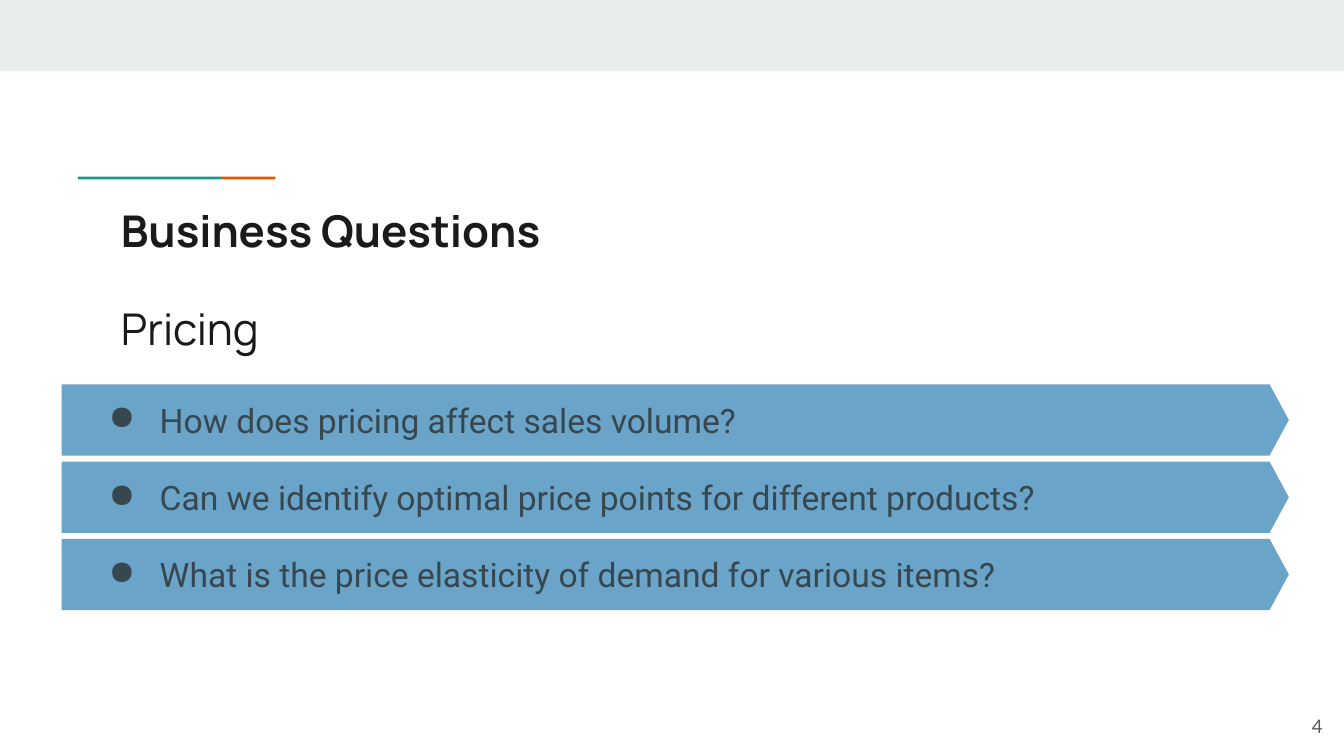
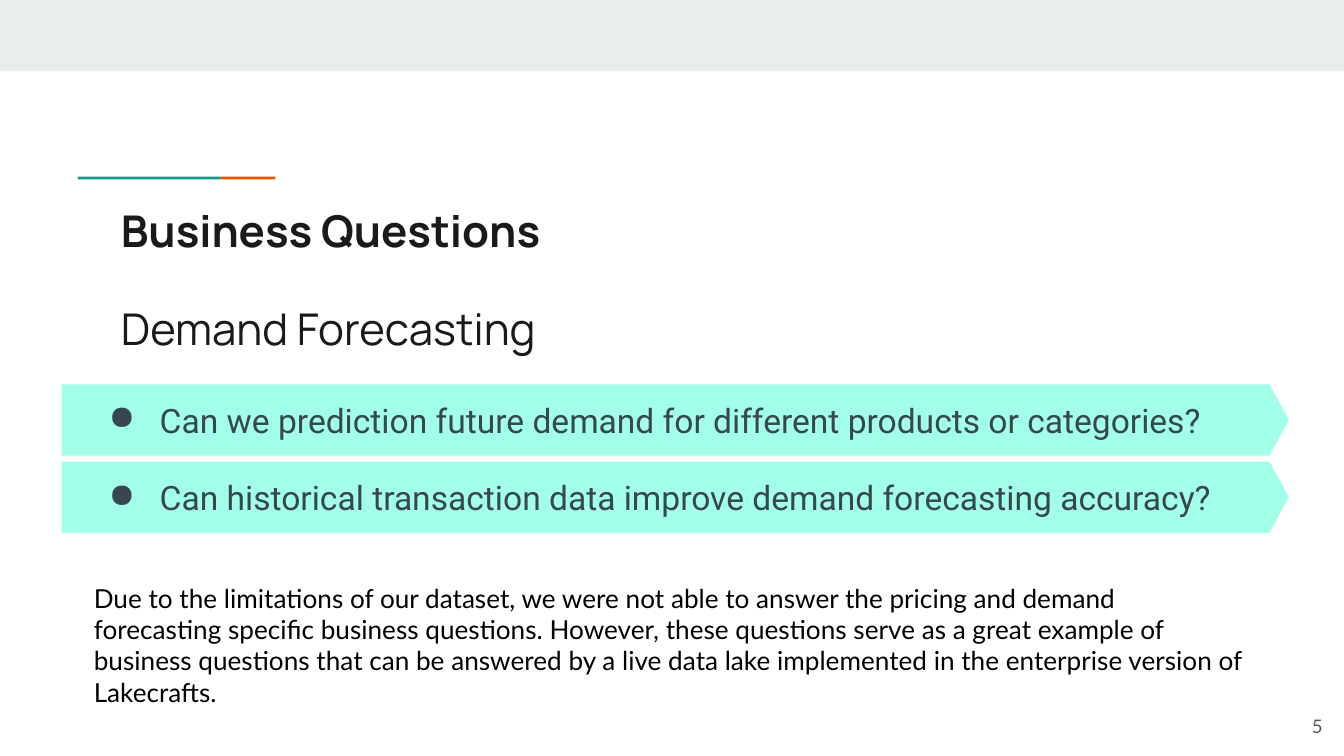
import dataclasses

import lxml.etree
import pptx
import pptx.dml.color
import pptx.enum.shapes
import pptx.enum.text
import pptx.oxml.ns
import pptx.util

COLUMNS, ROWS = 100, 56.25
UNIT = pptx.util.Inches(10) / COLUMNS
SHAPES = pptx.enum.shapes.MSO_SHAPE
ANCHOR = pptx.enum.text.MSO_ANCHOR
ALIGN = pptx.enum.text.PP_ALIGN
FIT = pptx.enum.text.MSO_AUTO_SIZE


@dataclasses.dataclass(frozen=True)
class Style:
    """Font, size and colour of a piece of text."""
    font: str
    size: float
    color: str
    bold: bool = False


@dataclasses.dataclass(frozen=True)
class Theme:
    """Colours and text styles shared by the slides."""
    band: str = "E9EDEE"
    teal: str = "1A9988"
    orange: str = "EB5600"
    pricing: str = "6AA4C8"
    demand: str = "A2FFE8"
    title: Style = Style("Manrope", 23.4, "1A1A1A", True)
    topic: Style = Style("Manrope", 23.4, "1A1A1A")
    question: Style = Style("Roboto", 18, "37474F")
    remark: Style = Style("Lato", 14, "000000")
    number: Style = Style("Lato", 10, "595959")


@dataclasses.dataclass(frozen=True)
class Box:
    """A rectangle in grid columns and rows."""
    left: float
    top: float
    width: float
    height: float

    def inside(self, left, top, width, height):
        """Return a box placed relative to this one."""
        return Box(self.left + left, self.top + top, width, height)

    def lengths(self):
        """Return the box as slide lengths."""
        return [grid(value) for value in dataclasses.astuple(self)]


THEME = Theme()
BAND = Box(0, 0, COLUMNS, 5.3)
ACCENT = Box(5.8, 13.15, 14.7, 0.2)
TITLE = Box(8, 14.4, 84.1, 5.9)
QUESTIONS = Box(4.6, 28.6, 91.3, 5.3)
QUESTION_PITCH = 5.75
REMARK = Box(6, 42.3, 88, 9.1)
NUMBER = Box(93.4, 51.9, 6, 4.3)


def grid(value):
    """Turn grid units into a slide length."""
    return pptx.util.Emu(round(value * UNIT))


def rgb(color):
    """Turn a hex string into a colour."""
    return pptx.dml.color.RGBColor.from_string(color)


def add_filled(slide, kind, box, color):
    """Add a preset shape with a plain fill and no line."""
    shape = slide.shapes.add_shape(kind, *box.lengths())
    shape.shadow.inherit = False
    shape.fill.solid()
    shape.fill.fore_color.rgb = rgb(color)
    shape.line.fill.background()
    return shape


def format_paragraph(paragraph, style):
    """Apply a text style to every run of a paragraph."""
    for run in paragraph.runs:
        run.font.name = style.font
        run.font.size = pptx.util.Pt(style.size)
        run.font.bold = style.bold
        run.font.color.rgb = rgb(style.color)


def prepare_frame(text_frame, anchor=ANCHOR.TOP):
    """Set wrapping, insets and anchor of a text frame."""
    text_frame.word_wrap = True
    text_frame.auto_size = FIT.NONE
    text_frame.vertical_anchor = anchor
    for side in ("left", "top", "right", "bottom"):
        setattr(text_frame, f"margin_{side}", grid(1))


def add_text(slide, box, text, style, anchor=ANCHOR.TOP):
    """Add a text box with one styled paragraph."""
    text_frame = slide.shapes.add_textbox(*box.lengths()).text_frame
    prepare_frame(text_frame, anchor)
    text_frame.text = text
    format_paragraph(text_frame.paragraphs[0], style)
    return text_frame


def add_bullet(paragraph, color):
    """Give a paragraph a hanging round bullet."""
    qualified = pptx.oxml.ns.qn
    properties = paragraph._p.get_or_add_pPr()
    properties.set("marL", str(grid(5)))
    properties.set("indent", str(grid(-3.8)))
    bullet_color = lxml.etree.SubElement(properties, qualified("a:buClr"))
    lxml.etree.SubElement(bullet_color, qualified("a:srgbClr"), val=color)
    lxml.etree.SubElement(properties, qualified("a:buChar"), char="●")


def decorate_layout(layout, slide):
    """Draw the top band and accent line, then move them to the layout."""
    teal_width = 10.65
    teal = ACCENT.inside(0, 0, teal_width, ACCENT.height)
    orange = ACCENT.inside(teal_width, 0, ACCENT.width - teal_width, ACCENT.height)
    parts = ((BAND, THEME.band), (teal, THEME.teal), (orange, THEME.orange))
    for position, (box, color) in enumerate(parts, start=2):
        shape = add_filled(slide, SHAPES.RECTANGLE, box, color)
        layout.shapes.element.insert(position, shape.element)


def fill_title(slide, box, topic):
    """Write the heading and the topic into the title placeholder."""
    title = slide.shapes.title
    title.left, title.top, title.width, title.height = box.lengths()
    text_frame = title.text_frame
    prepare_frame(text_frame)
    text_frame.margin_top = grid(0.8)
    text_frame.text = f"Business Questions\n{topic}"
    for paragraph, style in zip(text_frame.paragraphs, (THEME.title, THEME.topic)):
        paragraph.alignment = ALIGN.LEFT
        paragraph.line_spacing = 1.0
        paragraph.space_before = pptx.util.Pt(0)
        format_paragraph(paragraph, style)
    text_frame.paragraphs[1].space_before = pptx.util.Pt(24)


def add_questions(slide, box, questions, color):
    """Stack one arrow bar with a bulleted question per row."""
    for row, question in enumerate(questions):
        bar_box = box.inside(0, row * QUESTION_PITCH, box.width, box.height)
        bar = add_filled(slide, SHAPES.PENTAGON, bar_box, color)
        bar.adjustments[0] = 0.27
        label_box = bar_box.inside(1.3, 0, 86.2, box.height)
        label = add_text(slide, label_box, question, THEME.question, ANCHOR.MIDDLE)
        add_bullet(label.paragraphs[0], THEME.question.color)


def add_number(slide, box, number):
    """Write the page number at the lower right."""
    text_frame = add_text(slide, box, str(number), THEME.number, ANCHOR.MIDDLE)
    text_frame.paragraphs[0].alignment = ALIGN.RIGHT


def build_question_slide(slide, number, topic, color, questions, remark=None):
    """Fill one slide with a topic, its questions and an optional remark."""
    fill_title(slide, TITLE, topic)
    add_questions(slide, QUESTIONS, questions, color)
    add_number(slide, NUMBER, number)
    if remark:
        add_text(slide, REMARK, remark, THEME.remark).auto_size = FIT.SHAPE_TO_FIT_TEXT


def main():
    """Build and save the presentation."""
    presentation = pptx.Presentation()
    presentation.slide_width = grid(COLUMNS)
    presentation.slide_height = grid(ROWS)
    layout = presentation.slide_layouts.get_by_name("Title Only")
    pricing = presentation.slides.add_slide(layout)
    demand = presentation.slides.add_slide(layout)
    decorate_layout(layout, pricing)
    build_question_slide(pricing, 4, "Pricing", THEME.pricing, (
        "How does pricing affect sales volume?",
        "Can we identify optimal price points for different products?",
        "What is the price elasticity of demand for various items?",
    ))
    build_question_slide(demand, 5, "Demand Forecasting", THEME.demand, (
        "Can we prediction future demand for different products or categories?",
        "Can historical transaction data improve demand forecasting accuracy?",
    ), remark=(
        "Due to the limitations of our dataset, we were not able to answer the "
        "pricing and demand forecasting specific business questions. However, "
        "these questions serve as a great example of business questions that can "
        "be answered by a live data lake implemented in the enterprise version "
        "of Lakecrafts."
    ))
    presentation.save("out.pptx")


if __name__ == "__main__":
    main()
